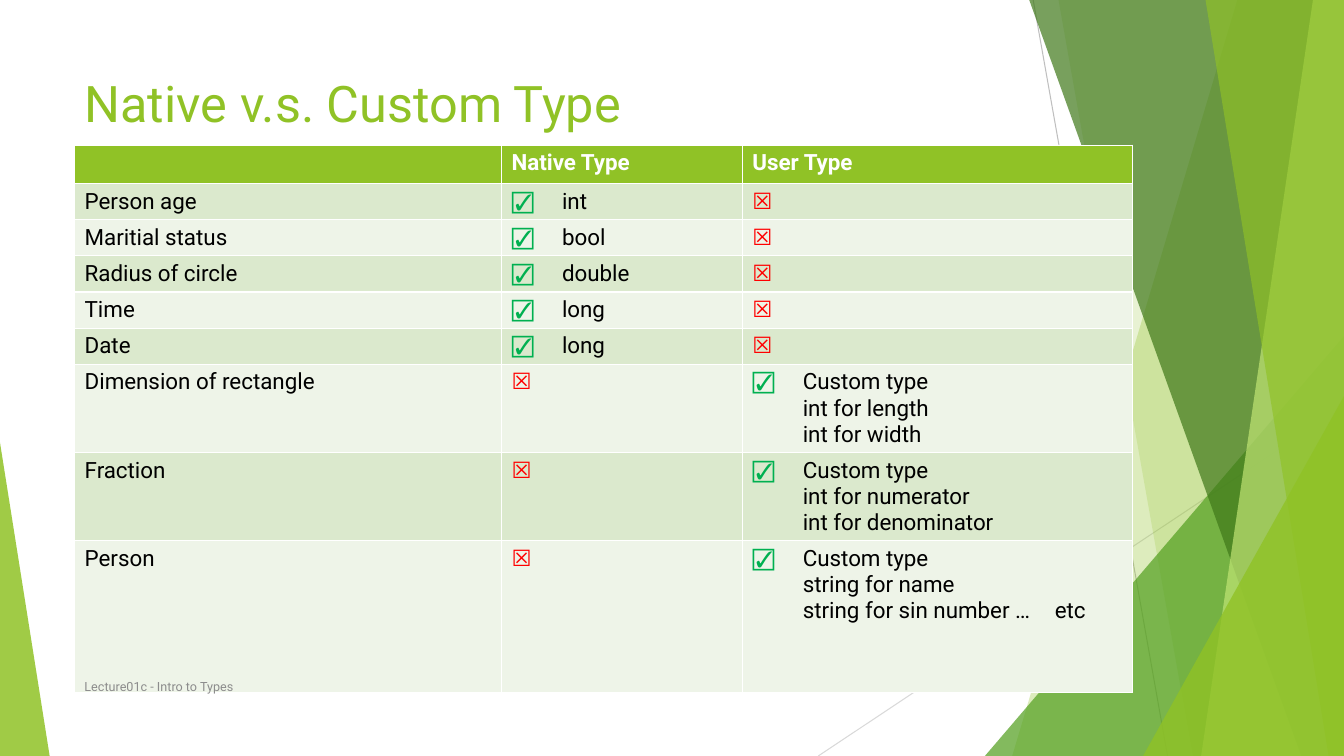
"""Build the slide comparing native and custom types."""
from lxml import etree
from pptx import Presentation
from pptx import util as u
from pptx.dml.color import RGBColor
from pptx.enum import shapes, text
from pptx.oxml.ns import qn

LIME, GREEN, RED, BLACK, WHITE = "90C226", "00B050", "FF0000", "000000", "FFFFFF"
BANDS = ("EEF4E8", "DBE9CD")
YES, NO = "☑", "☒"
WIDTH, HEIGHT, LEFT = 960, 540, 53.3
COLUMNS = (305, 172, 278.5)
ROWS = [25.2] * 6 + [61.9] * 2 + [108.7]
TAB_STOPS = (36, 216)
TYPES = [
    ("Person age", "int", None),
    ("Maritial status", "bool", None),
    ("Radius of circle", "double", None),
    ("Time", "long", None),
    ("Date", "long", None),
    ("Dimension of rectangle", None, "Custom type\n\tint for length\n\tint for width"),
    ("Fraction", None, "Custom type\n\tint for numerator\n\tint for denominator"),
    ("Person", None, "Custom type\n\tstring for name\n\tstring for sin number … \tetc"),
]


def rgb(value):
    return RGBColor.from_string(value)


class Deck:
    def __init__(self, font="Roboto"):
        self.font = font
        self.prs = Presentation()
        self.prs.slide_width, self.prs.slide_height = u.Pt(WIDTH), u.Pt(HEIGHT)
        self.s = self.prs.slides.add_slide(self.prs.slide_layouts[5])

    def paint(self, sp, color, opacity):
        sp.shadow.inherit = False
        sp.fill.solid()
        sp.fill.fore_color.rgb = rgb(color)
        sp.line.fill.background()
        clr = sp._element.spPr.find(qn("a:solidFill"))[0]
        etree.SubElement(clr, qn("a:alpha"), val=str(opacity * 1000))

    def line(self, x1, y1, x2, y2, color):
        ends = [u.Pt(v) for v in (x1, y1, x2, y2)]
        sp = self.s.shapes.add_connector(shapes.MSO_CONNECTOR.STRAIGHT, *ends)
        sp.line.color.rgb, sp.line.width = rgb(color), u.Pt(0.75)
        etree.SubElement(sp._element.spPr, qn("a:effectLst"))

    def slab(self, top_x, bottom_x, color, opacity):
        top = u.Pt(-0.6)
        builder = self.s.shapes.build_freeform(u.Pt(top_x), top)
        corners = ((WIDTH, top), (WIDTH, u.Pt(HEIGHT)), (bottom_x, u.Pt(HEIGHT)))
        builder.add_line_segments([(u.Pt(x), y) for x, y in corners], close=True)
        self.paint(builder.convert_to_shape(), color, opacity)

    def triangle(self, x, y, w, apex, color, opacity):
        box = [u.Pt(v) for v in (x, y, w, HEIGHT - y)]
        sp = self.s.shapes.add_shape(shapes.MSO_SHAPE.ISOSCELES_TRIANGLE, *box)
        sp.adjustments[0] = apex
        self.paint(sp, color, opacity)

    def fill_text(self, p, segments, size, bold=False):
        p.alignment = text.PP_ALIGN.LEFT
        p.font.name, p.font.size, p.font.bold = self.font, u.Pt(size), bold
        for words, color in segments:
            for i, part in enumerate(words.split("\n")):
                if i:
                    p.add_line_break()
                r = p.add_run()
                r.text = part
                r.font.color.rgb = rgb(color)

    def title(self, words, x, y, w, h):
        sp = self.s.shapes.title
        sp.left, sp.top, sp.width, sp.height = (u.Pt(v) for v in (x, y, w, h))
        tf = sp.text_frame
        tf.vertical_anchor, tf.auto_size = text.MSO_ANCHOR.TOP, text.MSO_AUTO_SIZE.NONE
        self.fill_text(tf.paragraphs[0], [(words, LIME)], 36)
        self.s.shapes._spTree.append(sp._element)

    def label(self, words, x, y, w, h, size, color):
        sp = self.s.shapes.add_textbox(*(u.Pt(v) for v in (x, y, w, h)))
        tf = sp.text_frame
        tf.word_wrap, tf.vertical_anchor = True, text.MSO_ANCHOR.MIDDLE
        self.fill_text(tf.paragraphs[0], [(words, color)], size)

    def cell(self, cell, segments, fill, bold=False):
        cell.fill.solid()
        cell.fill.fore_color.rgb = rgb(fill)
        p = cell.text_frame.paragraphs[0]
        if any("\t" in words for words, _ in segments):
            tabs = etree.SubElement(p._p.get_or_add_pPr(), qn("a:tabLst"))
            for stop in TAB_STOPS:
                etree.SubElement(tabs, qn("a:tab"), pos=str(u.Pt(stop)), algn="l")
        self.fill_text(p, segments, 16, bold)

    def table(self, x, y, header, body):
        size = [u.Pt(v) for v in (x, y, sum(COLUMNS), sum(ROWS))]
        tbl = self.s.shapes.add_table(len(ROWS), len(COLUMNS), *size).table
        for column, width in zip(tbl.columns, COLUMNS):
            column.width = u.Pt(width)
        for row, height in zip(tbl.rows, ROWS):
            row.height = u.Pt(height)
        for c, words in enumerate(header):
            self.cell(tbl.cell(0, c), [(words, WHITE)], LIME, True)
        for r, (name, *kinds) in enumerate(body, 1):
            self.cell(tbl.cell(r, 0), [(name, BLACK)], BANDS[r % 2])
            for c, kind in enumerate(kinds, 1):
                marks = [(YES, GREEN), ("\t" + kind, BLACK)] if kind else [(NO, RED)]
                self.cell(tbl.cell(r, c), marks, BANDS[r % 2])


def main():
    deck = Deck()
    deck.line(738, 0, 834, HEIGHT, "BFBFBF")
    deck.line(WIDTH, 290, 584.5, HEIGHT, "D9D9D9")
    deck.slab(884, 723, LIME, 30)
    deck.slab(756, 852, LIME, 20)
    deck.triangle(703.5, 240, 256.5, 1, "54A021", 72)
    deck.slab(735, 929.5, "3F7819", 70)
    deck.slab(938, 858, "C0E474", 70)
    deck.slab(861, 949, LIME, 65)
    deck.triangle(816.5, 283, 143.5, 1, LIME, 80)
    deck.triangle(0, 316, 35.5, 0, LIME, 85)
    deck.title("Native v.s. Custom Type", LEFT, 48, 677, 104)
    deck.table(LEFT, 103.7, ("", "Native Type", "User Type"), TYPES)
    deck.label("Lecture01c - Intro to Types", LEFT, 476, 496, 29, 9, "8C8C8C")
    deck.prs.save("out.pptx")


if __name__ == "__main__":
    main()
